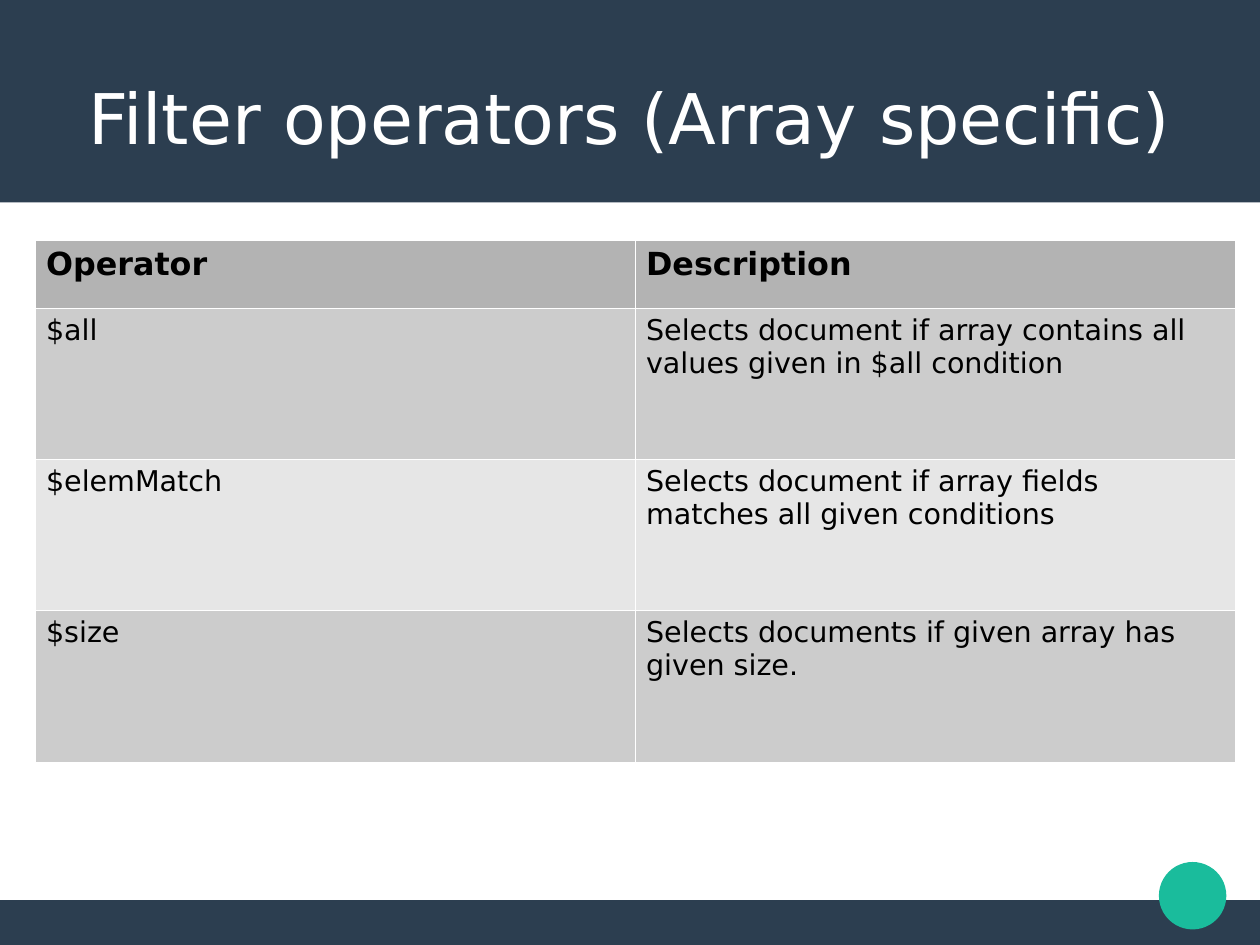
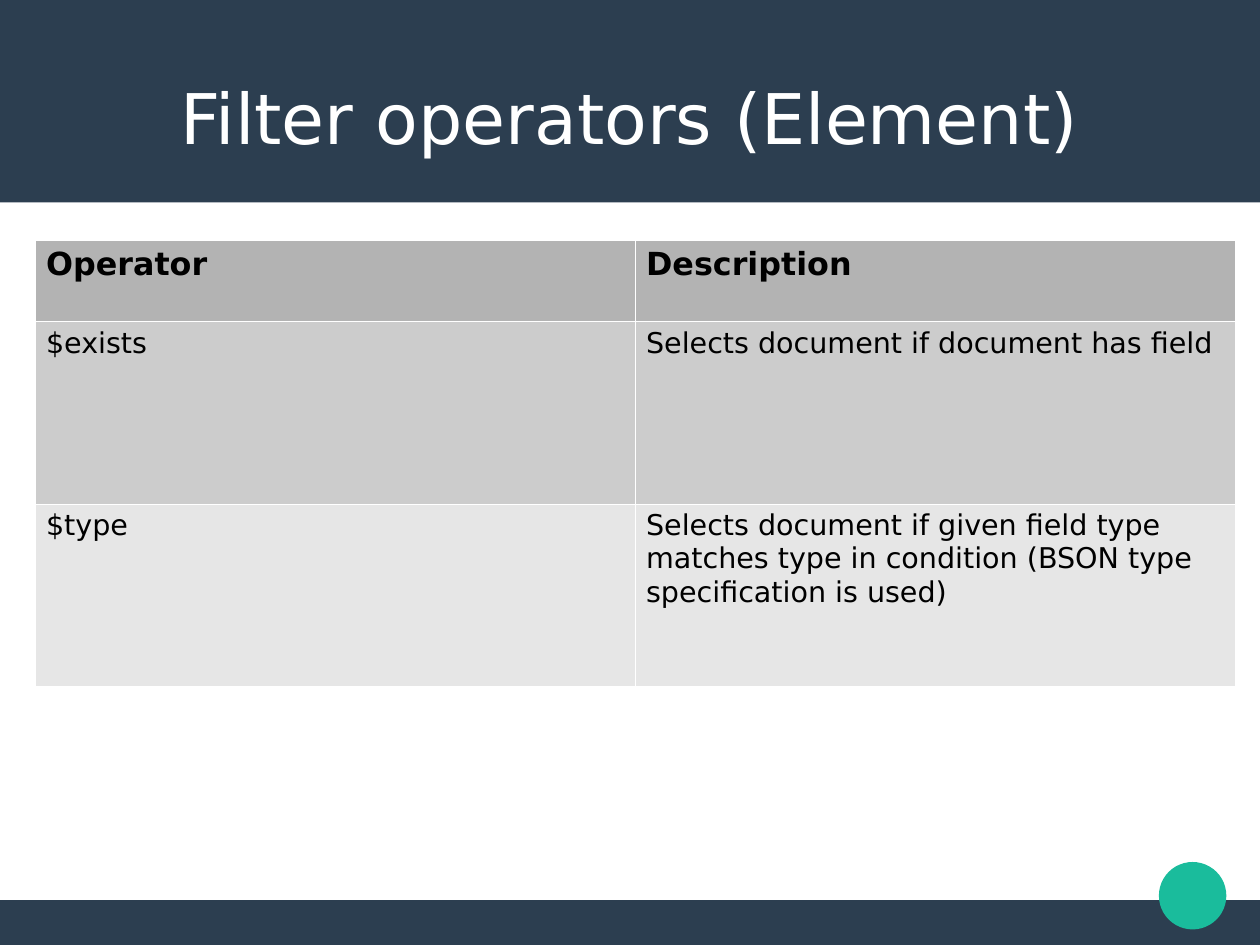
"""Two slides of filter operators, each a title over a two-column table."""
from lxml import etree
from pptx import Presentation
from pptx.dml.color import RGBColor
from pptx.enum.shapes import MSO_SHAPE
from pptx.enum.text import MSO_ANCHOR, PP_ALIGN
from pptx.oxml.ns import qn
from pptx.util import Pt

RECT, OVAL = MSO_SHAPE.RECTANGLE, MSO_SHAPE.OVAL
MIDDLE, TOP = MSO_ANCHOR.MIDDLE, MSO_ANCHOR.TOP
CENTER, LEFT = PP_ALIGN.CENTER, PP_ALIGN.LEFT

FONT = "DejaVu Sans"
NAVY, TEAL, WHITE, BLACK = "2C3E50", "1ABC9C", "FFFFFF", "000000"
HEADER_FILL, ROW_FILLS = "B3B3B3", ("CCCCCC", "E6E6E6")
WIDTH, HEIGHT = 793.7, 595.3
COL_WIDTH = 378

BANDS = [
    (RECT, 0, 567, WIDTH, 28.3, NAVY),
    (RECT, 0, 0, WIDTH, 127.5, NAVY),
    (OVAL, 730, 543, 42.5, 42.5, TEAL),
]
SLIDES = [
    ("Filter operators (Array specific)", 42.5, 95.3, [
        ("$all", "Selects document if array contains all values given in $all condition"),
        ("$elemMatch", "Selects document if array fields matches all given conditions"),
        ("$size", "Selects documents if given array has given size."),
    ]),
    ("Filter operators (Element)", 51, 114.8, [
        ("$exists", "Selects document if document has field"),
        ("$type", "Selects document if given field type matches type in condition "
                  "(BSON type specification is used)"),
    ]),
]


def rgb(color):
    return RGBColor.from_string(color)


def write(tf, text, size=18, color=BLACK, bold=False, align=LEFT):
    p = tf.paragraphs[0]
    p.alignment = align
    r = p.add_run()
    r.text = text
    r.font.name = FONT
    r.font.size = Pt(size)
    r.font.bold = bold
    r.font.color.rgb = rgb(color)


prs = Presentation()
prs.slide_width, prs.slide_height = Pt(WIDTH), Pt(HEIGHT)

for title_text, header_height, row_height, operators in SLIDES:
    s = prs.slides.add_slide(prs.slide_layouts[5])

    for kind, x, y, w, h, color in BANDS:
        sp = s.shapes.add_shape(kind, Pt(x), Pt(y), Pt(w), Pt(h))
        sp.shadow.inherit = False
        sp.fill.solid()
        sp.fill.fore_color.rgb = rgb(color)
        sp.line.fill.background()

    title = s.shapes.title
    title.left, title.top, title.width, title.height = Pt(39.7), Pt(23.7), Pt(714.3), Pt(99.4)
    title.element.getparent().append(title.element)
    tf = title.text_frame
    tf.margin_left = tf.margin_right = tf.margin_top = tf.margin_bottom = 0
    tf.vertical_anchor = MIDDLE
    tf.word_wrap = True
    write(tf, title_text, size=44, color=WHITE, align=CENTER)

    rows = [("Operator", "Description")] + operators
    table_height = header_height + row_height * len(operators)
    table = s.shapes.add_table(len(rows), 2, Pt(21.8), Pt(151.5),
                               Pt(2 * COL_WIDTH), Pt(table_height)).table
    for i, row in enumerate(rows):
        header = i == 0
        table.rows[i].height = Pt(header_height if header else row_height)
        for j, text in enumerate(row):
            cell = table.cell(i, j)
            cell.margin_left = cell.margin_right = Pt(7.2)
            cell.margin_top = cell.margin_bottom = Pt(3.6)
            cell.vertical_anchor = TOP
            write(cell.text_frame, text, size=20 if header else 18, bold=header)
            tc_pr = cell._tc.get_or_add_tcPr()
            for side in ("a:lnL", "a:lnR", "a:lnT", "a:lnB"):
                ln = etree.SubElement(tc_pr, qn(side), w=str(Pt(0.06)))
                fill = etree.SubElement(ln, qn("a:solidFill"))
                etree.SubElement(fill, qn("a:srgbClr"), val=WHITE)
            cell.fill.solid()
            cell.fill.fore_color.rgb = rgb(HEADER_FILL if header else ROW_FILLS[(i - 1) % 2])

prs.save("out.pptx")
